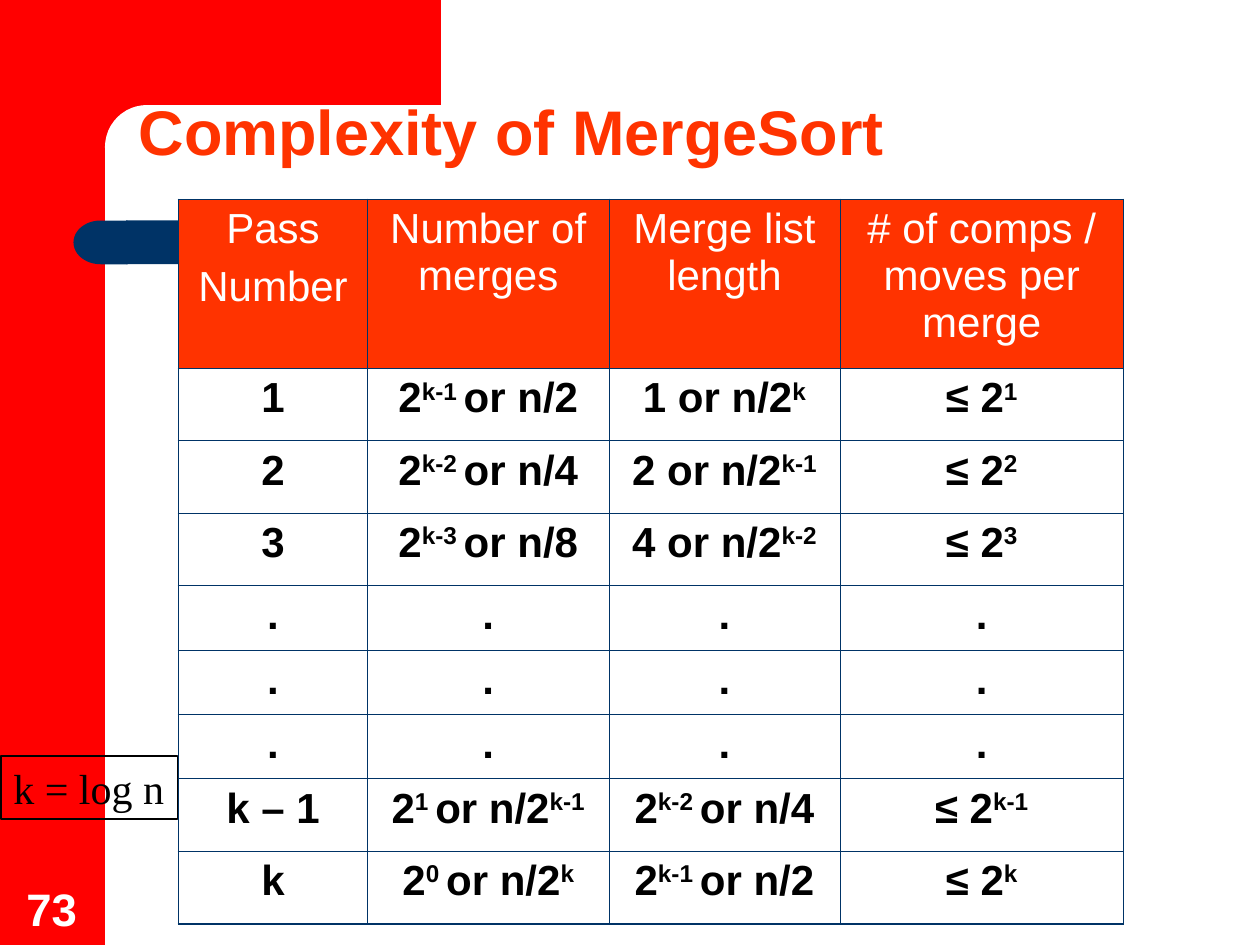
"""Build the MergeSort complexity slide, with superscripts between carets."""
from typing import NamedTuple

import pptx
import pptx.dml.color
import pptx.enum.shapes
import pptx.enum.text
import pptx.oxml
import pptx.oxml.ns
import pptx.util

Pt = pptx.util.Pt
RGBColor = pptx.dml.color.RGBColor
MSO = pptx.enum.shapes.MSO_SHAPE
ALIGN = pptx.enum.text.PP_ALIGN
ANCHOR = pptx.enum.text.MSO_ANCHOR
AUTO = pptx.enum.text.MSO_AUTO_SIZE

RED = RGBColor(0xFF, 0x00, 0x00)
ORANGE = RGBColor(0xFF, 0x33, 0x00)
NAVY = RGBColor(0x00, 0x33, 0x66)
WHITE = RGBColor(0xFF, 0xFF, 0xFF)
BLACK = RGBColor(0x00, 0x00, 0x00)

COLUMNS = (108, 138, 132, 162)
HEADER = ("Pass\nNumber", "Number of merges", "Merge list length",
          "# of comps / moves per merge")
DOTS = (".",) * 4
BODY = (
    ("1", "2^k-1 ^or n/2", "1 or n/2^k", "≤ 2^1"),
    ("2", "2^k-2 ^or n/4", "2 or n/2^k-1", "≤ 2^2"),
    ("3", "2^k-3 ^or n/8", "4 or n/2^k-2", "≤ 2^3"),
    DOTS, DOTS, DOTS,
    ("k – 1", "2^1 ^or n/2^k-1", "2^k-2 ^or n/4", "≤ 2^k-1"),
    ("k", "2^0 ^or n/2^k", "2^k-1 ^or n/2", "≤ 2^k"),
)


class Block(NamedTuple):
    kind: MSO
    left: float
    top: float
    width: float
    height: float
    color: RGBColor
    adj: float | None = None
    rotation: float = 0


class Style(NamedTuple):
    size: float
    color: RGBColor
    bold: bool = False
    font: str = "Arial"


BLOCKS = (
    Block(MSO.RECTANGLE, 0, 0, 60, 540, RED),
    Block(MSO.RECTANGLE, 54, 0, 198, 84, RED),
    Block(MSO.ROUNDED_RECTANGLE, 60, 60, 402, 48, WHITE, 0.5),
    Block(MSO.ROUNDED_RECTANGLE, 72, 126, 552, 25, NAVY, 0),
    Block(MSO.FLOWCHART_DELAY, 42, 126, 31, 25, NAVY, None, 180),
)


def add_block(s, block: Block) -> None:
    sp = s.shapes.add_shape(block.kind, *map(Pt, block[1:5]))
    sp.shadow.inherit = False
    sp.fill.solid()
    sp.fill.fore_color.rgb = block.color
    sp.line.fill.background()
    sp.rotation = block.rotation
    if block.adj is not None:
        sp.adjustments[0] = block.adj


def write(tf, text: str, style: Style, align=ALIGN.LEFT, before: float = 0) -> None:
    for i, line in enumerate(text.split("\n")):
        p = tf.paragraphs[0] if i == 0 else tf.add_paragraph()
        p.alignment = align
        p.space_before = Pt(before)
        for j, part in enumerate(line.split("^")):
            r = p.add_run()
            r.text = part
            r.font.size = Pt(style.size)
            r.font.name = style.font
            r.font.bold = style.bold
            r.font.color.rgb = style.color
            if j % 2:
                r.font._element.set("baseline", "30000")


def add_borders(cell, widths: dict[str, float]) -> None:
    tcPr = cell._tc.get_or_add_tcPr()
    for i, (side, width) in enumerate(widths.items()):
        tcPr.insert(i, pptx.oxml.parse_xml(
            f'<a:ln{side} {pptx.oxml.ns.nsdecls("a")} w="{Pt(width)}">'
            f'<a:solidFill><a:srgbClr val="{NAVY}"/></a:solidFill></a:ln{side}>'))


def add_complexity_table(s) -> None:
    rows = (HEADER, *BODY)
    heights = [96.5] + [36.8 if row is DOTS else 41.4 for row in BODY]
    table = s.shapes.add_table(len(rows), len(COLUMNS), Pt(102), Pt(114),
                               Pt(sum(COLUMNS)), Pt(sum(heights))).table
    table.first_row = table.horz_banding = False
    for column, width in zip(table.columns, COLUMNS):
        column.width = Pt(width)
    for i, row in enumerate(rows):
        table.rows[i].height = Pt(heights[i])
        style = Style(24, BLACK, True) if i else Style(24, WHITE)
        for j, text in enumerate(row):
            cell = table.cell(i, j)
            if i == 0:
                cell.fill.solid()
                cell.fill.fore_color.rgb = ORANGE
            else:
                cell.fill.background()
            write(cell.text_frame, text, style, ALIGN.CENTER, 6)
            outer = {"L": j == 0, "R": j == len(row) - 1,
                     "T": i == 0, "B": i == len(rows) - 1}
            add_borders(cell, {k: 1.08 if v else 0.45 for k, v in outer.items()})


def main() -> None:
    prs = pptx.Presentation()
    prs.slide_width, prs.slide_height = Pt(720), Pt(540)
    s = prs.slides.add_slide(prs.slide_layouts[5])
    for block in BLOCKS:
        add_block(s, block)

    sp = s.shapes.add_textbox(Pt(6.5), Pt(499), Pt(46), Pt(39))
    tf = sp.text_frame
    tf.word_wrap = True
    tf.vertical_anchor = ANCHOR.BOTTOM
    write(tf, "73", Style(26, WHITE, True), ALIGN.CENTER)

    title = s.shapes.title
    s.shapes._spTree.append(title._element)
    title.left, title.top, title.width, title.height = map(Pt, (72, 54, 630, 46))
    tf = title.text_frame
    tf.auto_size = AUTO.NONE
    tf.vertical_anchor = ANCHOR.BOTTOM
    write(tf, "Complexity of MergeSort", Style(36, ORANGE, True))
    tf.paragraphs[0].line_spacing = 0.9

    add_complexity_table(s)

    sp = s.shapes.add_textbox(Pt(0.5), Pt(432), Pt(101), Pt(36))
    sp.line.color.rgb = BLACK
    sp.line.width = Pt(0.75)
    tf = sp.text_frame
    tf.word_wrap = False
    tf.auto_size = AUTO.SHAPE_TO_FIT_TEXT
    write(tf, "k = log n", Style(24, BLACK, font="Times New Roman"))

    prs.save("out.pptx")


if __name__ == "__main__":
    main()
